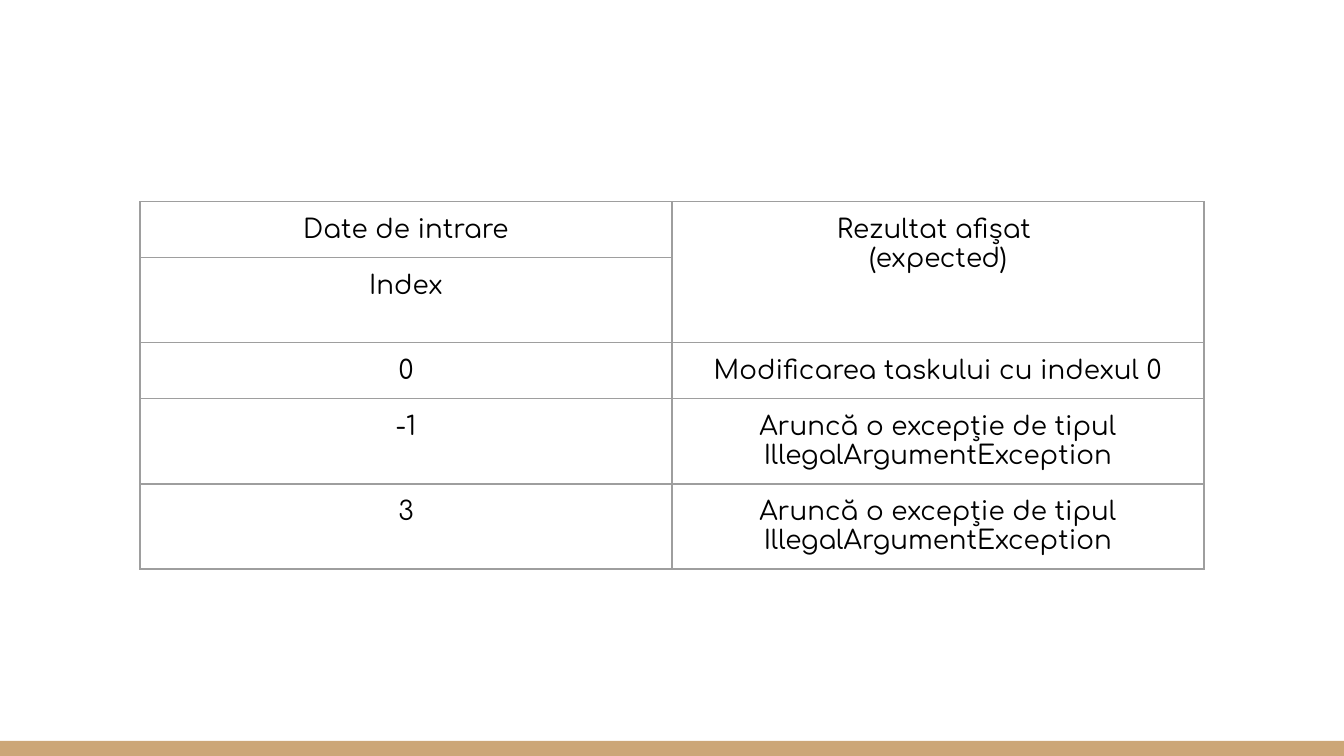
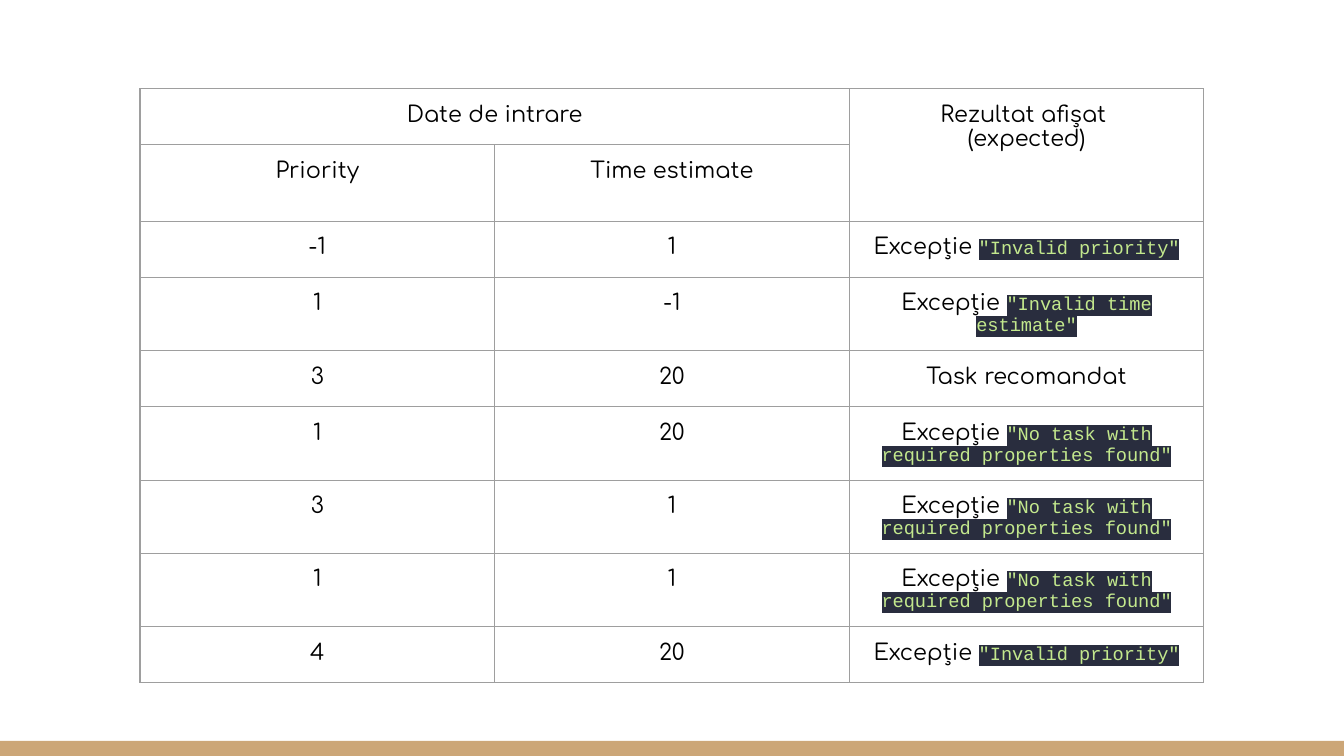
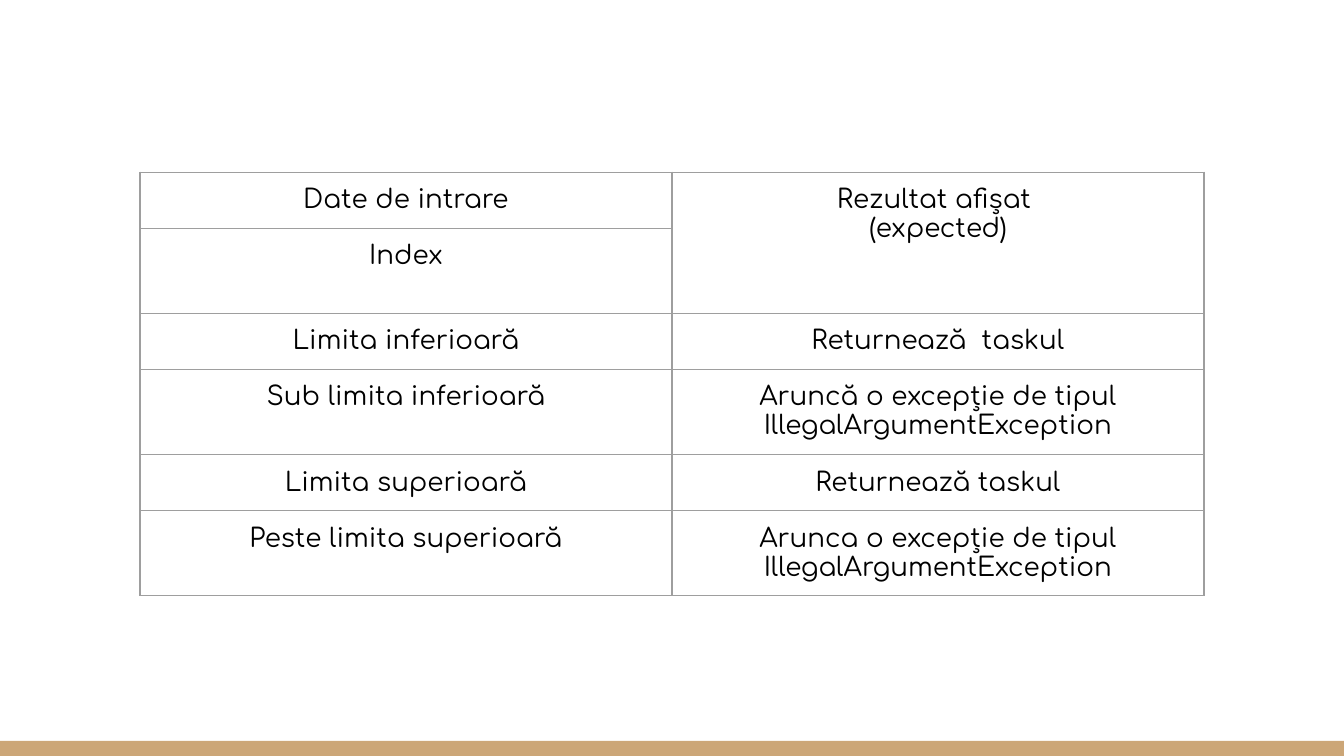
import lxml.etree
import pptx
import pptx.dml.color
import pptx.enum.shapes
import pptx.enum.text
import pptx.oxml.ns
import pptx.util

COLORS = {
    "paper": "FFFFFF",
    "band": "CCA677",
    "grid": "9E9E9E",
    "text": "000000",
    "code": "C3E88D",
    "code_back": "292D3E",
}
TEXT_FONT, CODE_FONT = "Comfortaa", "Courier New"
CODE_SIZE = 10

# Square layout grid: 96 columns by 54 rows
WIDTH = pptx.util.Inches(10)
HEIGHT = WIDTH * 9 // 16
UNIT = WIDTH / 96
TABLE_LEFT, TABLE_WIDTH, ROW_HEIGHT = 10, 76, 4
INSET = pptx.util.Inches(0.1)

INPUT = "Date de intrare"
EXPECTED = "Rezultat afișat \v(expected)"
ILLEGAL = "excepție de tipul IllegalArgumentException"
BAD_PRIORITY = 'Excepție "Invalid priority"'
NOT_FOUND = 'Excepție "No task with required properties found"'

# Each slide: table top in grid rows, text size, input columns, data rows
SLIDES = [
    (14.4, 14, ["Index"], [
        ("0", "Modificarea taskului cu indexul 0"),
        ("-1", "Aruncă o " + ILLEGAL),
        ("3", "Aruncă o " + ILLEGAL),
    ]),
    (6.35, 12, ["Priority", "Time estimate"], [
        ("-1", "1", BAD_PRIORITY),
        ("1", "-1", 'Excepție "Invalid time estimate"'),
        ("3", "20", "Task recomandat"),
        ("1", "20", NOT_FOUND),
        ("3", "1", NOT_FOUND),
        ("1", "1", NOT_FOUND),
        ("4", "20", BAD_PRIORITY),
    ]),
    (12.3, 14, ["Index"], [
        ("Limita inferioară", "Returnează  taskul"),
        ("Sub limita inferioară", "Aruncă o " + ILLEGAL),
        ("Limita superioară", "Returnează taskul"),
        ("Peste limita superioară", "Arunca o " + ILLEGAL),
    ]),
]


def units(n):
    return pptx.util.Emu(round(n * UNIT))


def rgb(name):
    return pptx.dml.color.RGBColor.from_string(COLORS[name])


def solid(parent, name):
    fill = lxml.etree.SubElement(parent, pptx.oxml.ns.qn("a:solidFill"))
    lxml.etree.SubElement(fill, pptx.oxml.ns.qn("a:srgbClr"), val=COLORS[name])


def format_run(r, font, size, color):
    r.font.name = font
    r.font.size = pptx.util.Pt(size)
    r.font.color.rgb = rgb(color)


def highlight(r, name):
    mark = lxml.etree.Element(pptx.oxml.ns.qn("a:highlight"))
    lxml.etree.SubElement(mark, pptx.oxml.ns.qn("a:srgbClr"), val=COLORS[name])
    r.font._element.find(pptx.oxml.ns.qn("a:solidFill")).addnext(mark)


def style_cell(cell):
    cell.margin_left = cell.margin_right = INSET
    cell.margin_top = cell.margin_bottom = INSET
    tc_pr = cell._tc.get_or_add_tcPr()
    for side in ("L", "R", "T", "B"):
        line = lxml.etree.SubElement(tc_pr, pptx.oxml.ns.qn("a:ln" + side),
                                     w=str(pptx.util.Pt(0.75)))
        solid(line, "grid")
    cell.fill.background()


def write_cell(cell, text, size):
    """Write centred text; a quoted message is set as highlighted code."""
    plain, quote, message = text.partition('"')
    p = cell.text_frame.paragraphs[0]
    p.text = plain
    p.alignment = pptx.enum.text.PP_ALIGN.CENTER
    for r in p.runs:
        format_run(r, TEXT_FONT, size, "text")
    if quote:
        r = p.add_run()
        r.text = quote + message
        format_run(r, CODE_FONT, CODE_SIZE, "code")
        highlight(r, "code_back")


def add_base(prs):
    s = prs.slides.add_slide(prs.slide_layouts[6])
    s.background.fill.solid()
    s.background.fill.fore_color.rgb = rgb("paper")
    # Footer band
    height = HEIGHT // 50
    band = s.shapes.add_shape(pptx.enum.shapes.MSO_SHAPE.RECTANGLE,
                              0, HEIGHT - height, WIDTH, height)
    band.shadow.inherit = False
    band.fill.solid()
    band.fill.fore_color.rgb = rgb("band")
    band.line.fill.background()
    return s


def add_test_table(s, left, top, width, size, inputs, data):
    last = len(inputs)
    header = [INPUT] + [None] * (last - 1) + [EXPECTED]
    rows = [header, [*inputs, None], *data]
    table = s.shapes.add_table(len(rows), last + 1, units(left), units(top),
                               units(width), units(ROW_HEIGHT * len(rows))).table
    table.first_row = table.horz_banding = False
    for column in table.columns:
        column.width = units(width / (last + 1))
    for i, row in enumerate(rows):
        table.rows[i].height = units(ROW_HEIGHT)
        for j, text in enumerate(row):
            cell = table.cell(i, j)
            style_cell(cell)
            if text is not None:
                write_cell(cell, text, size)
    # Two-row header: inputs share a heading, the result spans both rows
    if last > 1:
        table.cell(0, 0).merge(table.cell(0, last - 1))
    table.cell(0, last).merge(table.cell(1, last))


def main():
    prs = pptx.Presentation()
    prs.slide_width, prs.slide_height = WIDTH, HEIGHT
    for top, size, inputs, data in SLIDES:
        s = add_base(prs)
        add_test_table(s, TABLE_LEFT, top, TABLE_WIDTH, size, inputs, data)
    prs.save("out.pptx")


if __name__ == "__main__":
    main()
